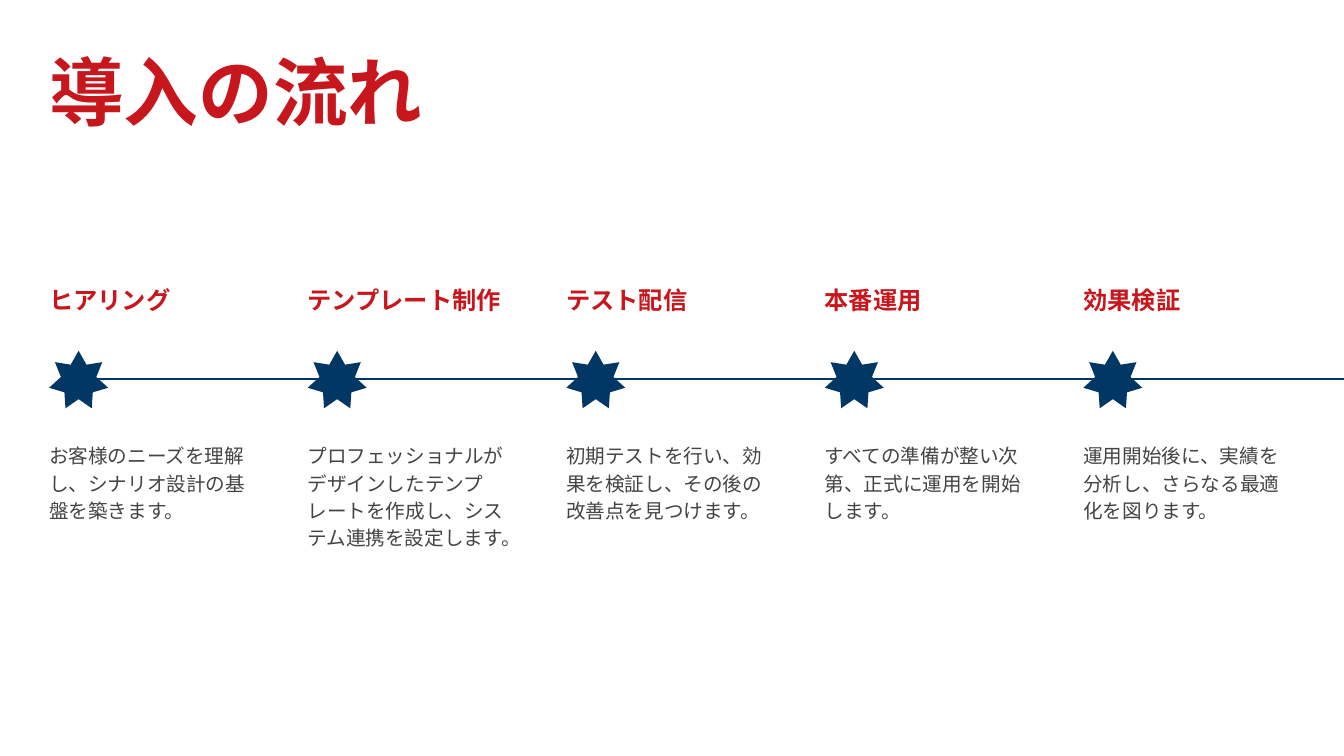
from math import cos, pi, sin

from lxml.etree import SubElement
from pptx import Presentation
from pptx.dml.color import RGBColor
from pptx.enum.shapes import MSO_CONNECTOR as Connector
from pptx.enum.text import MSO_ANCHOR as Anchor
from pptx.enum.text import MSO_AUTO_SIZE as AutoSize
from pptx.enum.text import PP_ALIGN as Align
from pptx.oxml.ns import qn
from pptx.util import Inches, Pt

COLORS = {"red": "C8161D", "navy": "003764", "gray": "444444"}

FORMATS = {
    "title": {"name": "TeX Gyre Schola", "size": Pt(80), "bold": True},
    "heading": {"name": "Roboto", "size": Pt(26), "bold": True},
    "body": {"name": "Roboto", "size": Pt(21), "bold": False},
}
TEXT_COLORS = {"title": "red", "heading": "red", "body": "gray"}
LINE_SPACING = {"title": Pt(88), "heading": Pt(36.4), "body": Pt(29.4)}
FRAME = {
    "margin_left": 0, "margin_top": 0, "margin_right": 0, "margin_bottom": 0,
    "word_wrap": True, "vertical_anchor": Anchor.TOP,
    "auto_size": AutoSize.SHAPE_TO_FIT_TEXT,
}

STEPS = [
    ("ヒアリング", "お客様のニーズを理解し、シナリオ設計の基盤を築きます。", 1.21),
    ("テンプレート制作",
     "プロフェッショナルがデザインしたテンプレートを作成し、システム連携を設定します。", 1.62),
    ("テスト配信", "初期テストを行い、効果を検証し、その後の改善点を見つけます。", 1.21),
    ("本番運用", "すべての準備が整い次第、正式に運用を開始します。", 1.21),
    ("効果検証", "運用開始後に、実績を分析し、さらなる最適化を図ります。", 1.21),
]
LEFT, LAST_LEFT = 0.73, 16.12
STEP_PITCH = (LAST_LEFT - LEFT) / (len(STEPS) - 1)
STEP_WIDTH = 3.14
STAR_CENTER = (0.44, 5.67)  # x from the left of the step, y on the slide
STAR_POINTS, OUTER_RADIUS, INNER_RADIUS = 7, 0.45, 0.27


class SlideBuilder:
    """Holds the style and the current slide."""

    def __init__(self, slide):
        self.slide = slide

    def color(self, name):
        return RGBColor.from_string(COLORS[name])

    def fill_text(self, shape, text, style):
        frame = shape.text_frame
        for key, value in FRAME.items():
            setattr(frame, key, value)
        paragraph = frame.paragraphs[0]
        paragraph.alignment = Align.LEFT
        paragraph.line_spacing = LINE_SPACING[style]
        paragraph.space_before = Pt(0)
        run = paragraph.add_run()
        run.text = text
        for key, value in FORMATS[style].items():
            setattr(run.font, key, value)
        run.font.color.rgb = self.color(TEXT_COLORS[style])

    def title(self, text, left, top, width, height):
        shape = self.slide.shapes.title
        shape.left, shape.top = Inches(left), Inches(top)
        shape.width, shape.height = Inches(width), Inches(height)
        self.fill_text(shape, text, "title")

    def text(self, text, style, left, top, width, height):
        box = self.slide.shapes.add_textbox(
            Inches(left), Inches(top), Inches(width), Inches(height))
        self.fill_text(box, text, style)

    def line(self, start_x, end_x, y):
        connector = self.slide.shapes.add_connector(
            Connector.STRAIGHT, Inches(start_x), Inches(y), Inches(end_x), Inches(y))
        connector.line.color.rgb = self.color("navy")
        connector.line.width = Pt(1.5)
        SubElement(connector._element.spPr, qn("a:effectLst"))

    def star(self, center_x, center_y):
        points = []
        for index in range(2 * STAR_POINTS):
            radius = INNER_RADIUS if index % 2 else OUTER_RADIUS
            angle = index * pi / STAR_POINTS
            points.append((Inches(center_x + radius * sin(angle)),
                           Inches(center_y - radius * cos(angle))))
        builder = self.slide.shapes.build_freeform(*points[0])
        builder.add_line_segments(points[1:], close=True)
        shape = builder.convert_to_shape()
        shape.shadow.inherit = False
        shape.fill.solid()
        shape.fill.fore_color.rgb = self.color("navy")
        shape.line.fill.background()


def main():
    presentation = Presentation()
    presentation.slide_width = Inches(20)
    presentation.slide_height = Inches(11.25)
    slide = presentation.slides.add_slide(presentation.slide_layouts[5])
    builder = SlideBuilder(slide)

    # Title and timeline
    builder.title("導入の流れ", LEFT, 0.8, 17.3, 1.26)
    builder.line(1.09, 20.34, 5.64)

    # Steps: heading, star on the timeline, description
    for index, (heading, description, height) in enumerate(STEPS):
        left = LEFT + index * STEP_PITCH
        builder.text(heading, "heading", left, 4.17, STEP_WIDTH, 0.48)
        builder.star(left + STAR_CENTER[0], STAR_CENTER[1])
        builder.text(description, "body", left, 6.55, STEP_WIDTH, height)

    presentation.save("out.pptx")


if __name__ == "__main__":
    main()
